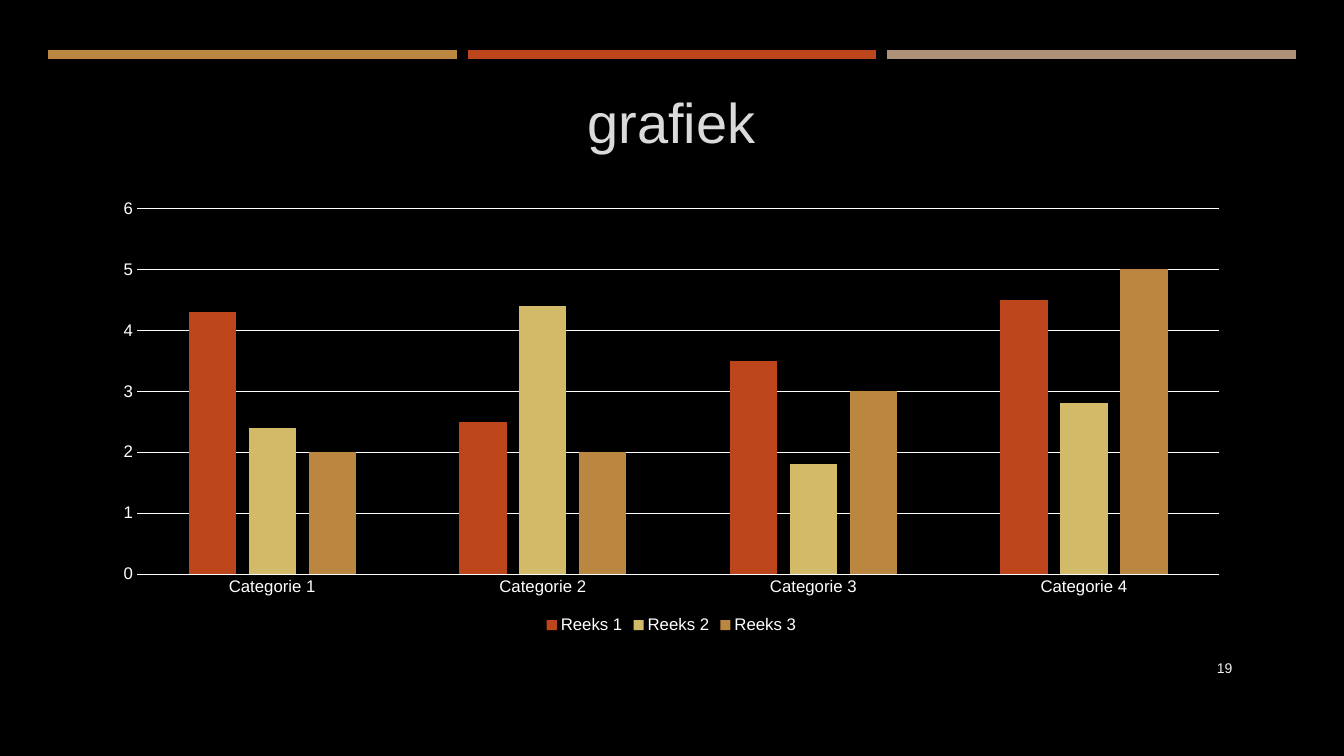
from lxml.etree import SubElement
from pptx import Presentation
from pptx.chart.data import CategoryChartData
from pptx.dml.color import RGBColor
from pptx.enum.chart import XL_CHART_TYPE, XL_LEGEND_POSITION, XL_TICK_MARK
from pptx.enum.shapes import MSO_CONNECTOR
from pptx.enum.text import MSO_ANCHOR, PP_ALIGN
from pptx.oxml.ns import qn
from pptx.util import Inches, Pt


def rgb(value):
    return RGBColor.from_string(value)


class SlideBuilder:
    font_name = "Arial"
    background = "000000"
    chart_color = "FFFFFF"

    def __init__(self, prs):
        self.s = prs.slides.add_slide(prs.slide_layouts[6])
        fill = self.s.background.fill
        fill.solid()
        fill.fore_color.rgb = rgb(self.background)

    def style_font(self, font, size, color):
        font.name = self.font_name
        font.size = Pt(size)
        font.color.rgb = rgb(color)

    def style_line(self, line, color, width):
        line.color.rgb = rgb(color)
        line.width = Pt(width)

    def bar(self, x, y, width, color):
        line = self.s.shapes.add_connector(
            MSO_CONNECTOR.STRAIGHT, Inches(x), Inches(y), Inches(x + width), Inches(y))
        self.style_line(line.line, color, 6.5)
        SubElement(line._element.spPr, qn("a:effectLst"))

    def text(self, box, text, size, color, align):
        sp = self.s.shapes.add_textbox(*map(Inches, box))
        tf = sp.text_frame
        tf.word_wrap = True
        tf.vertical_anchor = MSO_ANCHOR.MIDDLE
        p = tf.paragraphs[0]
        p.text = text
        p.alignment = align
        self.style_font(p.font, size, color)

    def column_chart(self, box, categories, series):
        data = CategoryChartData()
        data.categories = categories
        for name, values, _ in series:
            data.add_series(name, values)
        chart = self.s.shapes.add_chart(
            XL_CHART_TYPE.COLUMN_CLUSTERED, *map(Inches, box), data).chart
        self.style_font(chart.font, 10, self.chart_color)
        chart.has_title = False

        plot = chart.plots[0]
        plot.vary_by_categories = False
        plot.gap_width = 219
        plot.overlap = -27
        for column, (_, _, color) in zip(plot.series, series):
            column.format.fill.solid()
            column.format.fill.fore_color.rgb = rgb(color)

        for axis in (chart.category_axis, chart.value_axis):
            axis.major_tick_mark = XL_TICK_MARK.NONE
            axis.minor_tick_mark = XL_TICK_MARK.NONE
            self.style_font(axis.tick_labels.font, 12, self.chart_color)
        self.style_line(chart.category_axis.format.line, self.chart_color, 0.75)

        value_axis = chart.value_axis
        value_axis.minimum_scale = 0
        value_axis.maximum_scale = 6
        value_axis.major_unit = 1
        value_axis.format.line.fill.background()
        self.style_line(value_axis.major_gridlines.format.line, self.chart_color, 0.75)

        chart.has_legend = True
        chart.legend.position = XL_LEGEND_POSITION.BOTTOM
        chart.legend.include_in_layout = False
        self.style_font(chart.legend.font, 12, self.chart_color)


def main():
    prs = Presentation()
    prs.slide_width = Inches(13.33)
    prs.slide_height = Inches(7.5)
    slide = SlideBuilder(prs)

    for i, color in enumerate(("BB8640", "BC451B", "AD9277")):
        slide.bar(0.48 + i * 4.16, 0.54, 4.05, color)

    slide.text((1, 0.67, 11.32, 1.06), "grafiek", 40, "DADADA", PP_ALIGN.CENTER)
    slide.column_chart(
        (1, 1.89, 11.32, 4.44),
        [f"Categorie {n}" for n in range(1, 5)],
        [
            ("Reeks 1", (4.3, 2.5, 3.5, 4.5), "BC451B"),
            ("Reeks 2", (2.4, 4.4, 1.8, 2.8), "D3BA68"),
            ("Reeks 3", (2, 2, 3, 5), "BB8640"),
        ])
    slide.text((11.5, 6.43, 0.82, 0.4), "19", 10, "F2F2F2", PP_ALIGN.RIGHT)

    prs.save("out.pptx")


if __name__ == "__main__":
    main()
